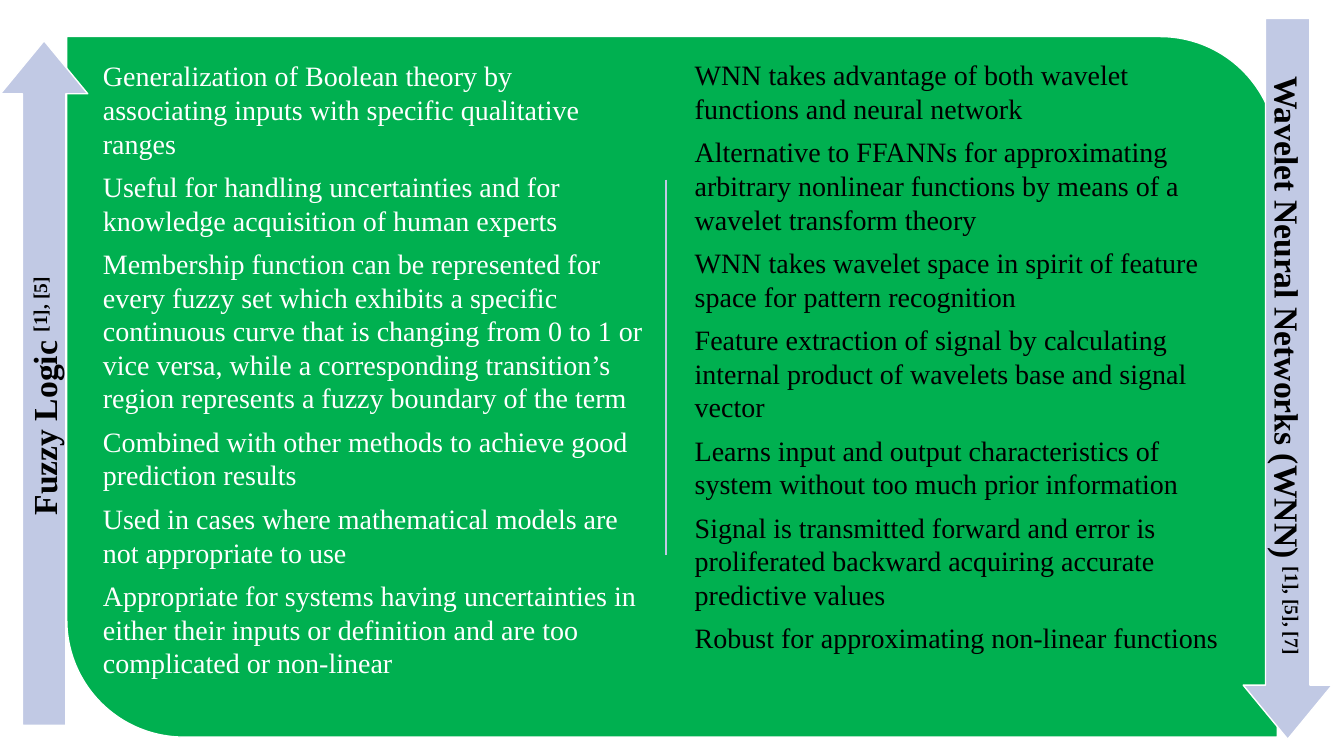
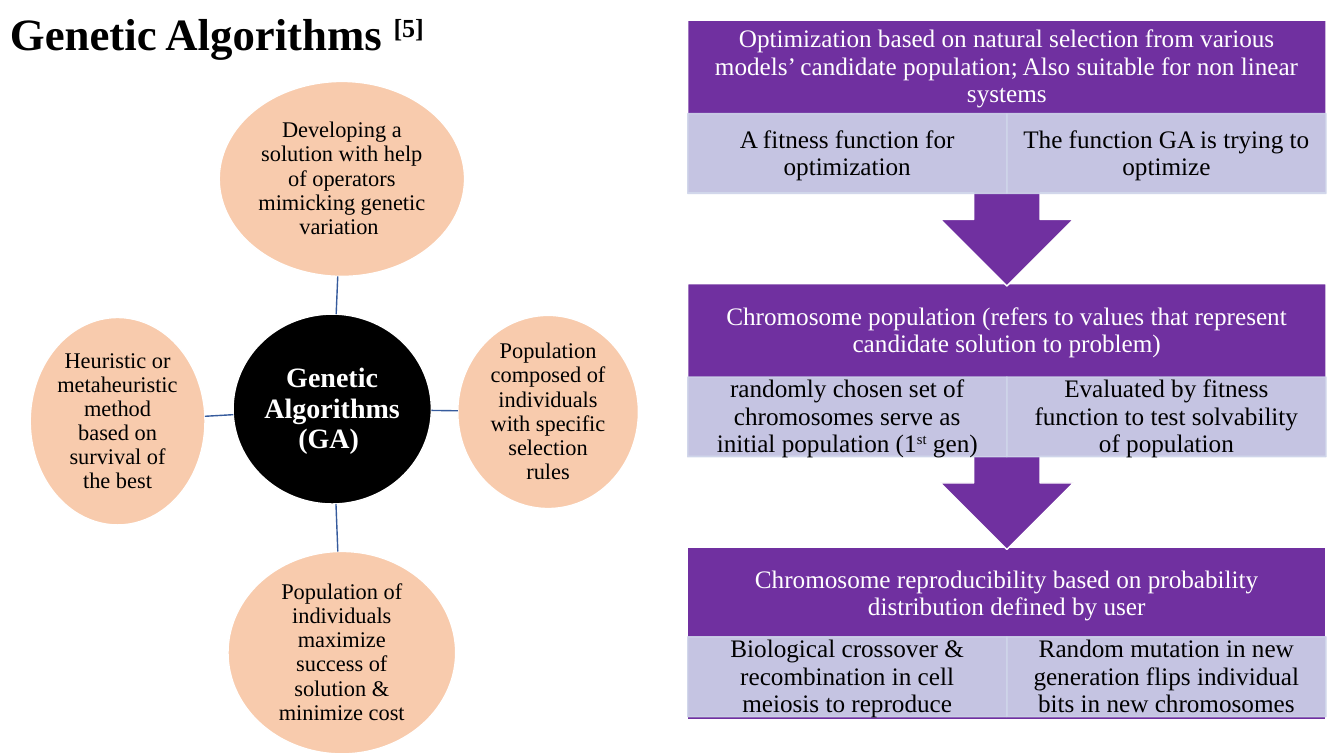
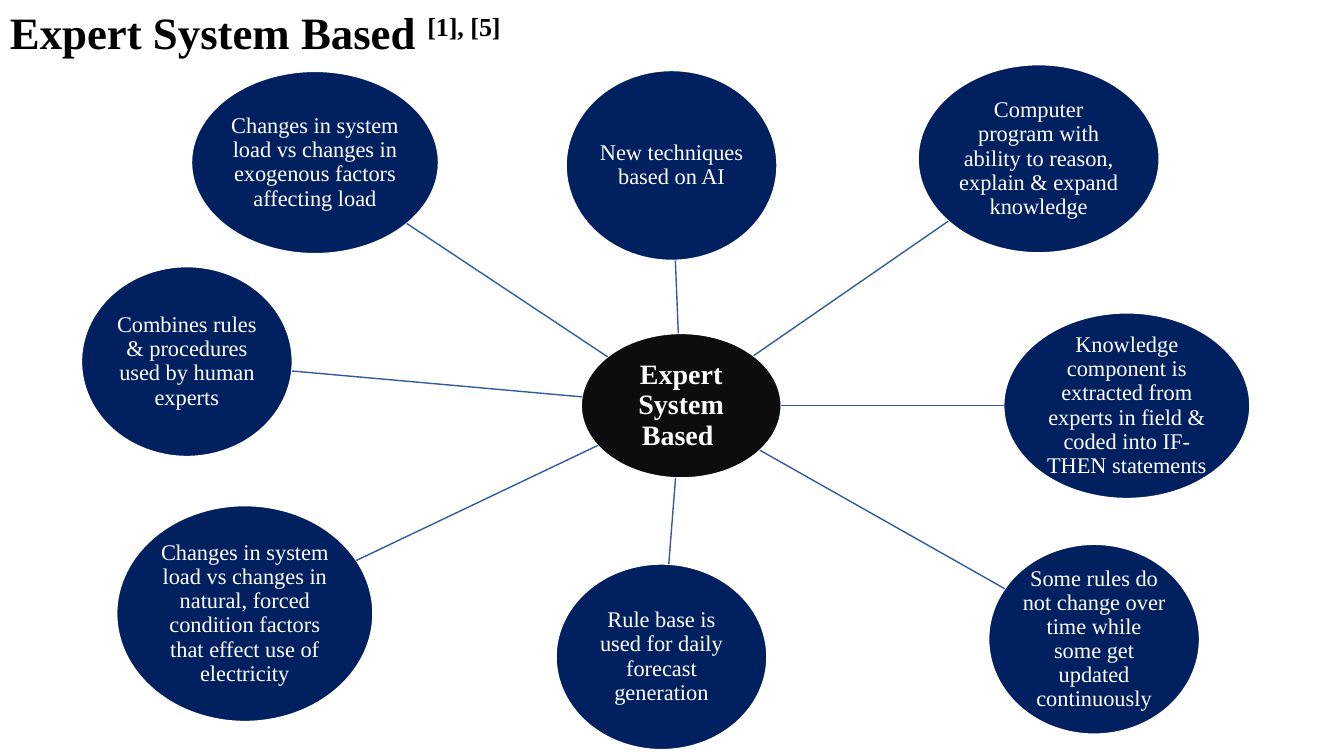
"""Build three slides on fuzzy logic and wavelets, genetic algorithms and expert systems."""

import dataclasses
import math

import pptx
import pptx.dml.color
import pptx.enum.shapes
import pptx.enum.text
import pptx.oxml.ns
import pptx.util
from lxml import etree


@dataclasses.dataclass(frozen=True)
class Theme:
    font: str = "Times New Roman"
    white: str = "FFFFFF"
    black: str = "000000"
    soft_black: str = "0D0D0D"
    green: str = "00B050"
    lavender: str = "C1C9E4"
    peach: str = "F8CBAD"
    purple: str = "7030A0"
    pale: str = "CFD5EA"
    navy: str = "002060"
    spoke: str = "365B9D"
    title: int = 32
    arrow: int = 24
    body: int = 20
    block: int = 18
    node: int = 16


theme = Theme()
shapes = pptx.enum.shapes.MSO_SHAPE
align = pptx.enum.text.PP_ALIGN
anchor = pptx.enum.text.MSO_ANCHOR
color = pptx.dml.color.RGBColor.from_string

presentation = pptx.Presentation()
presentation.slide_height = pptx.util.Inches(7.5)
cell = presentation.slide_height / 90
presentation.slide_width = round(160 * cell)
blank = presentation.slide_layouts[6]


def add_figure(slide, kind, box, fill, line=theme.white):
    """Add a preset shape, placed in grid cells."""
    shape = slide.shapes.add_shape(kind, *(round(value * cell) for value in box))
    shape.shadow.inherit = False
    shape.fill.solid()
    shape.fill.fore_color.rgb = color(fill)
    shape.line.color.rgb = color(line)
    shape.line.width = pptx.util.Pt(1)
    return shape


def write(shape, texts, size, ink, insets, bold=False, centred=True, wrap=True):
    """Write paragraphs; the parts between carets are superscript."""
    frame = shape.text_frame
    frame.word_wrap = wrap
    frame.vertical_anchor = anchor.MIDDLE if centred else anchor.TOP
    frame.margin_left, frame.margin_top, frame.margin_right, frame.margin_bottom = (
        round(inset * cell) for inset in insets)
    for index, text in enumerate(texts):
        paragraph = frame.add_paragraph() if index else frame.paragraphs[0]
        paragraph.alignment = align.CENTER if centred else align.LEFT
        paragraph.line_spacing = 0.9 if centred else 1.0
        paragraph.space_after = pptx.util.Pt(0.35 * size)
        for part, words in enumerate(text.split("^")):
            run = paragraph.add_run()
            run.text = words
            run.font.name = theme.font
            run.font.size = pptx.util.Pt(size)
            run.font.bold = bold
            run.font.color.rgb = color(ink)
            if part % 2:
                run.font._element.set("baseline", "30000")


fuzzy_points = [
    "Generalization of Boolean theory by associating inputs with specific qualitative ranges",
    "Useful for handling uncertainties and for knowledge acquisition of human experts",
    "Membership function can be represented for every fuzzy set which exhibits a specific "
    "continuous curve that is changing from 0 to 1 or vice versa, while a corresponding "
    "transition’s region represents a fuzzy boundary of the term",
    "Combined with other methods to achieve good prediction results",
    "Used in cases where mathematical models are not appropriate to use",
    "Appropriate for systems having uncertainties in either their inputs or definition and "
    "are too complicated or non-linear",
]
wavelet_points = [
    "WNN takes advantage of both wavelet functions and neural network",
    "Alternative to FFANNs for approximating arbitrary nonlinear functions by means of a "
    "wavelet transform theory",
    "WNN takes wavelet space in spirit of feature space for pattern recognition",
    "Feature extraction of signal by calculating internal product of wavelets base and "
    "signal vector",
    "Learns input and output characteristics of system without too much prior information",
    "Signal is transmitted forward and error is proliferated backward acquiring accurate "
    "predictive values",
    "Robust for approximating non-linear functions",
]
comparison = presentation.slides.add_slide(blank)
panel = add_figure(comparison, shapes.ROUND_2_DIAG_RECTANGLE, (7.95, 4.35, 144.1, 83.4),
                   theme.green)
panel.adjustments[0] = 0
panel.adjustments[1] = 0.167
lines = [(comparison, (79.3, 21.4, 79.3, 66.1), theme.lavender)]
for box, points, ink in [
    ((11.25, 6, 66.3, 75.5), fuzzy_points, theme.white),
    ((81.7, 5.9, 65.9, 77.5), wavelet_points, theme.black),
]:
    column = comparison.shapes.add_textbox(*(round(value * cell) for value in box))
    write(column, points, theme.body, ink, (1, 1, 1, 1), centred=False)
for box, rotation, label in [
    ((-35.5, 40.4, 81.5, 10.4), 270, "Fuzzy Logic ^[1], [5]"),
    ((110.4, 39.8, 85.8, 10.6), 90, "Wavelet Neural Networks (WNN) ^[1], [5], [7]"),
]:
    arrow = add_figure(comparison, shapes.RIGHT_ARROW, box, theme.lavender)
    arrow.adjustments[0] = 0.498
    arrow.adjustments[1] = 0.607
    arrow.rotation = rotation
    write(arrow, [label], theme.arrow, theme.black, (1.2, 1.7, 1.2, 1.2), bold=True)

genetic_nodes = [
    ((26.1, 9.7, 29.2, 23.2),
     "Developing a solution with help of operators mimicking genetic variation "),
    ((54.5, 37.55, 21.5, 23),
     "Population composed of individuals with specific selection rules"),
    ((27.15, 65.65, 27.1, 24.1),
     "Population of individuals maximize success of solution & minimize cost"),
    ((3.6, 37.8, 20.8, 24.7),
     "Heuristic or metaheuristic method based on survival of the best"),
]
expert_nodes = [
    ((67.4, 8.4, 25.1, 22.6), "New techniques based on AI"),
    ((109.3, 7.7, 28.7, 22.4),
     "Computer program with ability to reason, explain & expand knowledge"),
    ((119.5, 37.25, 29.3, 22.1),
     "Knowledge component is extracted from experts in field & coded into IF-THEN statements"),
    ((117.7, 64.8, 25.1, 22.6),
     "Some rules do not change over time while some get updated continuously"),
    ((66.2, 67.15, 25.1, 22.1), "Rule base is used for daily forecast generation"),
    ((13.9, 60.2, 30.5, 25.7),
     "Changes in system load vs changes in natural, forced condition factors that effect "
     "use of electricity"),
    ((9.7, 31.75, 25.1, 22.6), "Combines rules & procedures used by human experts"),
    ((22.8, 8.5, 29.4, 21.7),
     "Changes in system load vs changes in exogenous factors affecting load"),
]
genetic = presentation.slides.add_slide(blank)
expert = presentation.slides.add_slide(blank)
for slide, title, title_top, hub, hub_text, hub_fill, nodes, fill, ink in [
    (genetic, "Genetic Algorithms ^[5]", 0.15, (27.75, 37.4, 23.6, 22.6),
     "Genetic Algorithms (GA) ", theme.black, genetic_nodes, theme.peach, theme.black),
    (expert, "Expert System Based ^[1], [5]", 0, (69.2, 39.7, 23.8, 17.2),
     "Expert System Based ", theme.soft_black, expert_nodes, theme.navy, theme.white),
]:
    heading = slide.shapes.add_textbox(0, round(title_top * cell), round(64 * cell),
                                       round(7.7 * cell))
    write(heading, [title], theme.title, theme.black, (1.2, 0.6, 1.2, 0.6),
          bold=True, centred=False)
    center = add_figure(slide, shapes.OVAL, hub, hub_fill)
    write(center, [hub_text], theme.body, theme.white, (0.1, 0.1, 0.1, 0.1), bold=True)
    hub_x, hub_y = hub[0] + hub[2] / 2, hub[1] + hub[3] / 2
    for box, text in nodes:
        node = add_figure(slide, shapes.OVAL, box, fill)
        write(node, [text], theme.node, ink, (0.1, 0.1, 0.1, 0.1))
        run_x, run_y = box[0] + box[2] / 2 - hub_x, box[1] + box[3] / 2 - hub_y
        start = 1 / math.hypot(2 * run_x / hub[2], 2 * run_y / hub[3])
        end = 1 - 1 / math.hypot(2 * run_x / box[2], 2 * run_y / box[3])
        lines.append((slide, (hub_x + start * run_x, hub_y + start * run_y,
                              hub_x + end * run_x, hub_y + end * run_y), theme.spoke))

for slide, ends, ink in lines:
    connector = slide.shapes.add_connector(
        pptx.enum.shapes.MSO_CONNECTOR.STRAIGHT, *(round(value * cell) for value in ends))
    connector.line.color.rgb = color(ink)
    connector.line.width = pptx.util.Pt(1)
    etree.SubElement(connector._element.spPr, pptx.oxml.ns.qn("a:effectLst"))

blocks = [
    ("Optimization based on natural selection from various models’ candidate population; "
     "Also suitable for non linear systems",
     ["A fitness function for optimization", "The function GA is trying to optimize"]),
    ("Chromosome population (refers to values that represent candidate solution to problem)",
     ["randomly chosen set of chromosomes serve as initial population (1^st^ gen)",
      "Evaluated by fitness function to test solvability of population"]),
    ("Chromosome reproducibility based on probability distribution defined by user",
     ["Biological crossover & recombination in cell meiosis to reproduce",
      "Random mutation in new generation flips individual bits in new chromosomes"]),
]
block_left, block_width, block_pitch = 81.87, 76, 31.36
for row, (header, details) in reversed(list(enumerate(blocks))):
    last = row == len(blocks) - 1
    top = 2.4 + row * block_pitch
    kind = shapes.RECTANGLE if last else shapes.DOWN_ARROW_CALLOUT
    block = add_figure(genetic, kind, (block_left, top, block_width, 20.6 if last else 31.65),
                       theme.purple)
    write(block, [header], theme.block, theme.white, (1.7, 1.7, 1.7, 11.1))
    for side, text in enumerate(details):
        width = block_width / len(details)
        detail = add_figure(
            genetic, shapes.RECTANGLE,
            (block_left + side * width, top + (10.7 if last else 11.12), width, 9.5),
            theme.pale, theme.pale)
        for tint in detail._element.spPr.iter(pptx.oxml.ns.qn("a:srgbClr")):
            etree.SubElement(tint, pptx.oxml.ns.qn("a:alpha"), val="90000")
        write(detail, [text], theme.block, theme.black, (1.7, 0.4, 1.7, 0.4))

presentation.save("out.pptx")
